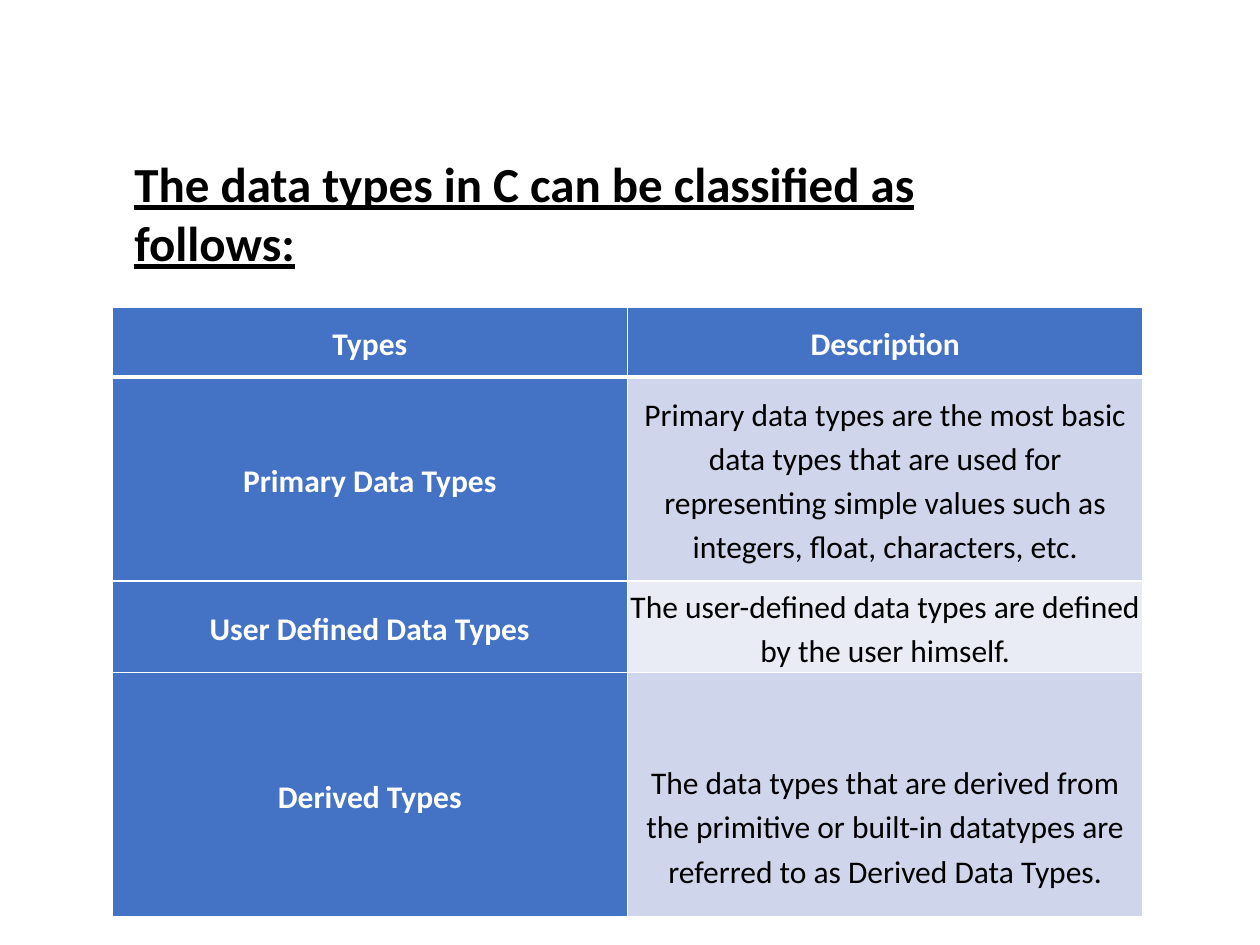
from dataclasses import dataclass

from lxml.etree import SubElement
from pptx import Presentation
from pptx.dml.color import RGBColor
from pptx.enum.text import MSO_ANCHOR, MSO_AUTO_SIZE, PP_ALIGN
from pptx.oxml.ns import qn
from pptx.util import Cm, Pt


@dataclass(frozen=True)
class Theme:
    font: str = "Calibri"
    title_size: int = 28
    table_size: int = 18
    ink: str = "000000"
    paper: str = "FFFFFF"
    accent: str = "4472C4"
    bands: tuple = ("CFD5EA", "E9EBF5")
    rule: int = 1
    header_rule: int = 3


THEME = Theme()

TITLE = "The data types in C can be classified as follows:"
HEADINGS = ("Types", "Description")
DATA_TYPES = (
    ("Primary Data Types",
     "Primary data types are the most basic data types that are used for "
     "representing simple values such as integers, float, characters, etc."),
    ("User Defined Data Types",
     "The user-defined data types are defined by the user himself."),
    ("Derived Types",
     "The data types that are derived from the primitive or built-in "
     "datatypes are referred to as Derived Data Types."),
)
ROW_HEIGHTS = (1.4, 4.11, 1.52, 4.93)
COLUMN_WIDTH = 10.39
CELL_MARGIN = 0.03
DERIVED_TOP_MARGIN = 1.27


def write(frame, text, *, size, color, bold=False, underline=None,
          align=None, line_spacing=None, space_after=None):
    paragraph = frame.paragraphs[0]
    paragraph.alignment = align
    paragraph.line_spacing = line_spacing
    paragraph.space_after = space_after
    run = paragraph.add_run()
    run.text = text
    run.font.name = THEME.font
    run.font.size = Pt(size)
    run.font.bold = bold
    run.font.underline = underline
    run.font.color.rgb = RGBColor.from_string(color)


def add_title(slide):
    title = slide.shapes.add_textbox(Cm(2.46), Cm(2.97), Cm(18.62), Cm(2.64))
    frame = title.text_frame
    frame.word_wrap = True
    frame.auto_size = MSO_AUTO_SIZE.SHAPE_TO_FIT_TEXT
    frame.vertical_anchor = MSO_ANCHOR.MIDDLE
    write(frame, TITLE, size=THEME.title_size, color=THEME.ink,
          bold=True, underline=True)


def set_borders(cell, top, bottom):
    """Rule all four sides of a cell; top and bottom are widths in points."""
    properties = cell._tc.get_or_add_tcPr()
    widths = {"lnL": THEME.rule, "lnR": THEME.rule, "lnT": top, "lnB": bottom}
    for side, width in widths.items():
        line = SubElement(properties, qn(f"a:{side}"), w=str(Pt(width)))
        fill = SubElement(line, qn("a:solidFill"))
        SubElement(fill, qn("a:srgbClr"), val=THEME.paper)


def fill_cell(cell, text, fill, color, bold, top_rule, bottom_rule):
    set_borders(cell, top_rule, bottom_rule)
    cell.fill.solid()
    cell.fill.fore_color.rgb = RGBColor.from_string(fill)
    cell.vertical_anchor = MSO_ANCHOR.MIDDLE
    cell.margin_left = cell.margin_right = Cm(CELL_MARGIN)
    cell.margin_top = cell.margin_bottom = Cm(CELL_MARGIN)
    write(cell.text_frame, text, size=THEME.table_size, color=color, bold=bold,
          align=PP_ALIGN.CENTER, line_spacing=1.15, space_after=Pt(10))


def add_types_table(slide):
    rows = (HEADINGS, *DATA_TYPES)
    table = slide.shapes.add_table(
        len(rows), len(HEADINGS), Cm(2.26), Cm(6.2),
        Cm(COLUMN_WIDTH * len(HEADINGS)), Cm(sum(ROW_HEIGHTS))).table
    table.first_col = True
    for column in table.columns:
        column.width = Cm(COLUMN_WIDTH)
    for row_index, (texts, height) in enumerate(zip(rows, ROW_HEIGHTS)):
        table.rows[row_index].height = Cm(height)
        top_rule = THEME.header_rule if row_index == 1 else THEME.rule
        bottom_rule = THEME.header_rule if row_index == 0 else THEME.rule
        for column_index, text in enumerate(texts):
            heading = row_index == 0 or column_index == 0
            band = THEME.bands[(row_index - 1) % len(THEME.bands)]
            fill_cell(table.cell(row_index, column_index), text,
                      fill=THEME.accent if heading else band,
                      color=THEME.paper if heading else THEME.ink,
                      bold=heading, top_rule=top_rule, bottom_rule=bottom_rule)
    derived_description = table.cell(len(rows) - 1, 1)
    derived_description.margin_top = Cm(DERIVED_TOP_MARGIN)


def main():
    presentation = Presentation()
    presentation.slide_width = Cm(25.4)
    presentation.slide_height = Cm(19.05)
    slide = presentation.slides.add_slide(presentation.slide_layouts[6])
    add_types_table(slide)
    add_title(slide)
    presentation.save("out.pptx")


if __name__ == "__main__":
    main()
